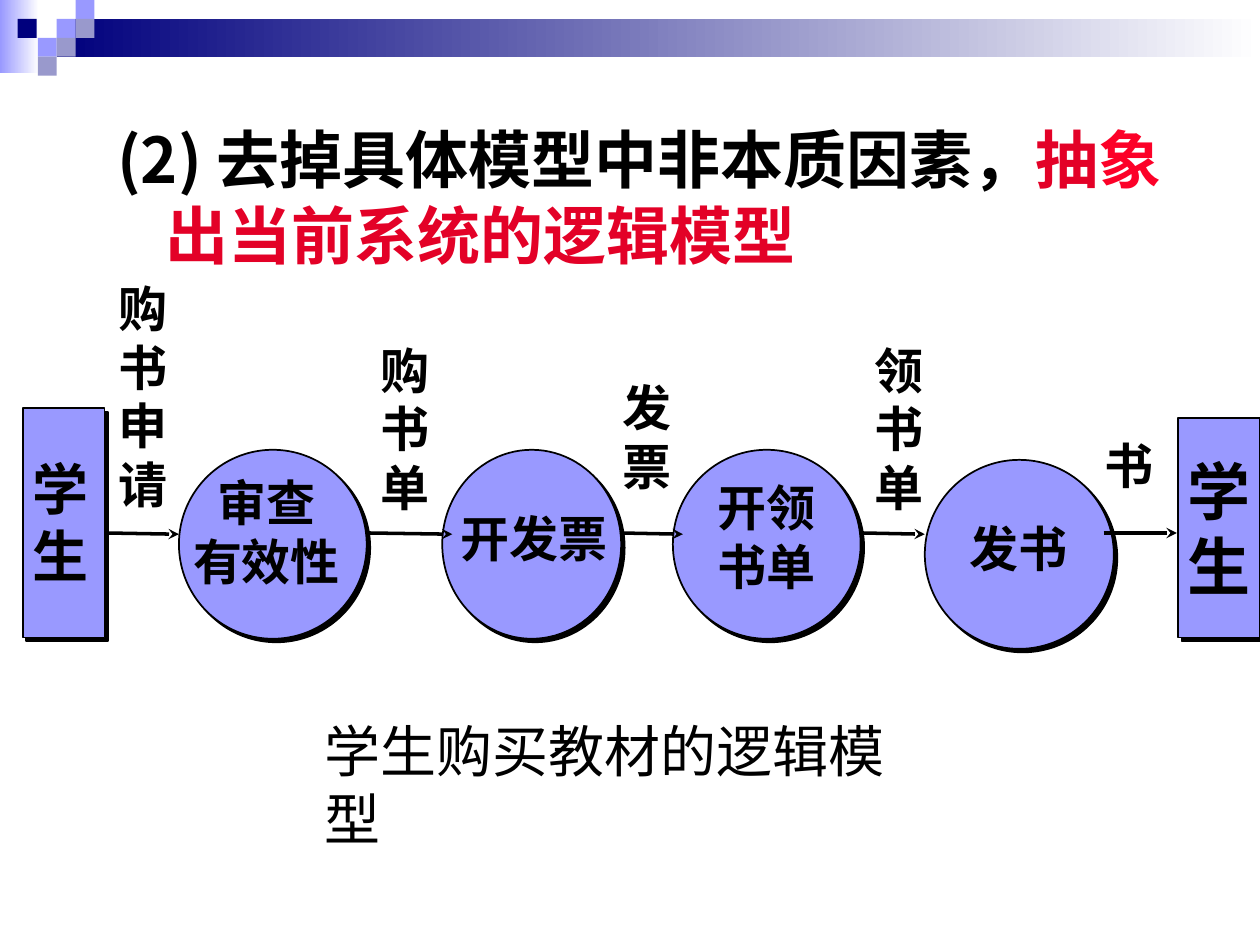
from dataclasses import dataclass
from typing import NamedTuple

from lxml.etree import SubElement
from pptx import Presentation
from pptx.dml.color import RGBColor
from pptx.enum.shapes import MSO_CONNECTOR, MSO_SHAPE
from pptx.enum.text import MSO_ANCHOR, PP_ALIGN
from pptx.oxml.ns import qn
from pptx.util import Inches, Pt


@dataclass(frozen=True)
class Theme:
    font: str = "Noto Sans CJK SC"
    black: str = "000000"
    white: str = "FFFFFF"
    navy: str = "00007D"
    periwinkle: str = "9999FF"
    lavender: str = "9999CC"
    red: str = "E30127"
    bright_red: str = "FC0128"
    heading_size: int = 36
    large_size: int = 32
    label_size: int = 28
    line_spacing: float = 1.2
    shadow_distance: float = 2.83


THEME = Theme()


class Box(NamedTuple):
    left: float
    top: float
    width: float
    height: float


class Label(NamedTuple):
    lines: tuple[str, ...]
    box: Box
    size: int = THEME.label_size
    align: PP_ALIGN = PP_ALIGN.LEFT
    bold: bool = True
    wrap: bool = False


class Node(NamedTuple):
    kind: MSO_SHAPE
    box: Box


class Flow(NamedTuple):
    start: float
    end: float
    drop: float = 0.01


FLOW_TOP = 4.23
TILE = 0.15
CENTER = PP_ALIGN.CENTER

# Header tiles: left, top, colour
TILES = [
    (0.45, 0.15, THEME.periwinkle), (0.6, 0, THEME.periwinkle),
    (0.6, 0.15, THEME.lavender), (0.3, 0.3, THEME.periwinkle),
    (0.14, 0.15, THEME.navy), (0.45, 0.3, THEME.lavender),
    (0.3, 0.45, THEME.lavender),
]
SOURCE = Node(MSO_SHAPE.RECTANGLE, Box(0.18, 3.24, 0.65, 1.82))
SINK = Node(MSO_SHAPE.RECTANGLE, Box(9.35, 3.32, 0.65, 1.74))
PROCESSES = [
    Node(MSO_SHAPE.OVAL, Box(1.42, 3.57, 1.49, 1.5)),
    Node(MSO_SHAPE.OVAL, Box(3.51, 3.57, 1.42, 1.5)),
    Node(MSO_SHAPE.OVAL, Box(5.34, 3.57, 1.49, 1.5)),
    Node(MSO_SHAPE.OVAL, Box(7.34, 3.65, 1.5, 1.5)),
]
FLOWS = [Flow(0.84, 1.42), Flow(2.92, 3.59), Flow(4.92, 5.42),
         Flow(6.84, 7.34), Flow(8.76, 9.34, 0)]
LABELS = [
    Label(("学生购买教材的逻辑模型",), Box(2.48, 5.64, 5, 0.63),
          THEME.large_size, bold=False, wrap=True),
    Label(("学", "生"), Box(0.16, 3.56, 0.77, 1.17), THEME.large_size, wrap=True),
    # Data flows
    Label(("购", "书", "申", "请"), Box(0.84, 2.16, 0.59, 1.97)),
    Label(("购书", "单"), Box(2.92, 2.65, 0.67, 1.5), wrap=True),
    Label(("发", "票"), Box(4.84, 2.95, 0.59, 1.03)),
    Label(("领", "书", "单"), Box(6.84, 2.65, 0.59, 1.5)),
    Label(("书",), Box(8.67, 3.41, 0.59, 0.57)),
    # Processes
    Label(("审查", "有效性"), Box(1.43, 3.7, 1.37, 1.03), align=CENTER),
    Label(("开发票",), Box(3.55, 3.99, 1.37, 0.57), align=CENTER),
    Label(("开领", "书单"), Box(5.59, 3.74, 0.99, 1.03), align=CENTER),
    Label(("发书",), Box(7.59, 4.07, 0.99, 0.57), align=CENTER),
]
HEADING = [
    ("(2) 去掉具体模型中非本质因素，", THEME.black), ("抽", THEME.red),
    ("象", THEME.bright_red), ("出当前系统的逻辑模型", THEME.red),
]


def rgb(color: str) -> RGBColor:
    return RGBColor.from_string(color)


def inches(box: Box) -> list[Inches]:
    return [Inches(length) for length in box]


def add_run(paragraph, text: str, size: int, bold: bool, color: str = THEME.black) -> None:
    run = paragraph.add_run()
    run.text = text
    run.font.name = THEME.font
    run.font.size = Pt(size)
    run.font.bold = bold
    run.font.color.rgb = rgb(color)
    east_asian = SubElement(run.font._element, qn("a:ea"))
    east_asian.set("typeface", THEME.font)


def format_paragraph(paragraph, size: int, align: PP_ALIGN) -> None:
    paragraph.alignment = align
    paragraph.line_spacing = Pt(size * THEME.line_spacing)


def write_lines(frame, label: Label) -> None:
    frame.word_wrap = label.wrap
    for index, line in enumerate(label.lines):
        paragraph = frame.add_paragraph() if index else frame.paragraphs[0]
        format_paragraph(paragraph, label.size, label.align)
        add_run(paragraph, line, label.size, label.bold)


def add_block(slide, box: Box, color: str, fade: bool = False) -> None:
    shape = slide.shapes.add_shape(MSO_SHAPE.RECTANGLE, *inches(box))
    shape.shadow.inherit = False
    shape.line.fill.background()
    if fade:
        shape.fill.gradient()
        shape.fill.gradient_angle = 0
        for stop, stop_color in zip(shape.fill.gradient_stops, (color, THEME.white)):
            stop.color.rgb = rgb(stop_color)
    else:
        shape.fill.solid()
        shape.fill.fore_color.rgb = rgb(color)


def add_node(slide, node: Node):
    shape = slide.shapes.add_shape(node.kind, *inches(node.box))
    shape.fill.solid()
    shape.fill.fore_color.rgb = rgb(THEME.periwinkle)
    shape.line.color.rgb = rgb(THEME.black)
    shape.line.width = Pt(1)
    # Hard offset shadow towards the lower right
    shape.shadow.inherit = False
    effects = shape._element.spPr.find(qn("a:effectLst"))
    shadow = SubElement(effects, qn("a:outerShdw"), dist=str(Pt(THEME.shadow_distance)),
                        dir="2700000", algn="ctr", rotWithShape="0")
    SubElement(shadow, qn("a:srgbClr"), val=THEME.black)
    return shape


def add_label(slide, label: Label) -> None:
    write_lines(slide.shapes.add_textbox(*inches(label.box)).text_frame, label)


def add_flow(slide, flow: Flow) -> None:
    arrow = slide.shapes.add_connector(
        MSO_CONNECTOR.STRAIGHT, Inches(flow.start), Inches(FLOW_TOP),
        Inches(flow.end), Inches(FLOW_TOP + flow.drop))
    arrow.line.color.rgb = rgb(THEME.black)
    arrow.line.width = Pt(2)
    SubElement(arrow.line._get_or_add_ln(), qn("a:tailEnd"), type="stealth")
    SubElement(arrow._element.spPr, qn("a:effectLst"))


def add_heading(slide) -> None:
    title = slide.shapes.title
    title.left, title.top, title.width, title.height = inches(Box(0.83, 0.91, 8.62, 1.26))
    frame = title.text_frame
    frame.word_wrap = True
    frame.vertical_anchor = MSO_ANCHOR.TOP
    paragraph = frame.paragraphs[0]
    format_paragraph(paragraph, THEME.heading_size, PP_ALIGN.LEFT)
    properties = paragraph._p.get_or_add_pPr()
    properties.set("marL", str(Inches(0.38)))
    properties.set("indent", str(Inches(-0.38)))
    for text, color in HEADING:
        add_run(paragraph, text, THEME.heading_size, True, color)


def main() -> None:
    presentation = Presentation()
    presentation.slide_width, presentation.slide_height = Inches(10), Inches(7.5)
    slide = presentation.slides.add_slide(presentation.slide_layouts[5])

    # Header band
    add_block(slide, Box(0, 0, 0.31, 0.58), THEME.periwinkle, fade=True)
    add_block(slide, Box(0.45, 0.15, 9.55, 0.3), THEME.navy, fade=True)
    for left, top, color in TILES:
        add_block(slide, Box(left, top, TILE, TILE), color)
    add_heading(slide)

    # Data flow diagram
    add_node(slide, SOURCE)
    sink = add_node(slide, SINK)
    sink.text_frame.vertical_anchor = MSO_ANCHOR.MIDDLE
    write_lines(sink.text_frame, Label(("学", "生"), SINK.box, THEME.heading_size, CENTER))
    for process in PROCESSES:
        add_node(slide, process)
    for flow in FLOWS:
        add_flow(slide, flow)
    for label in LABELS:
        add_label(slide, label)

    presentation.save("out.pptx")


if __name__ == "__main__":
    main()
